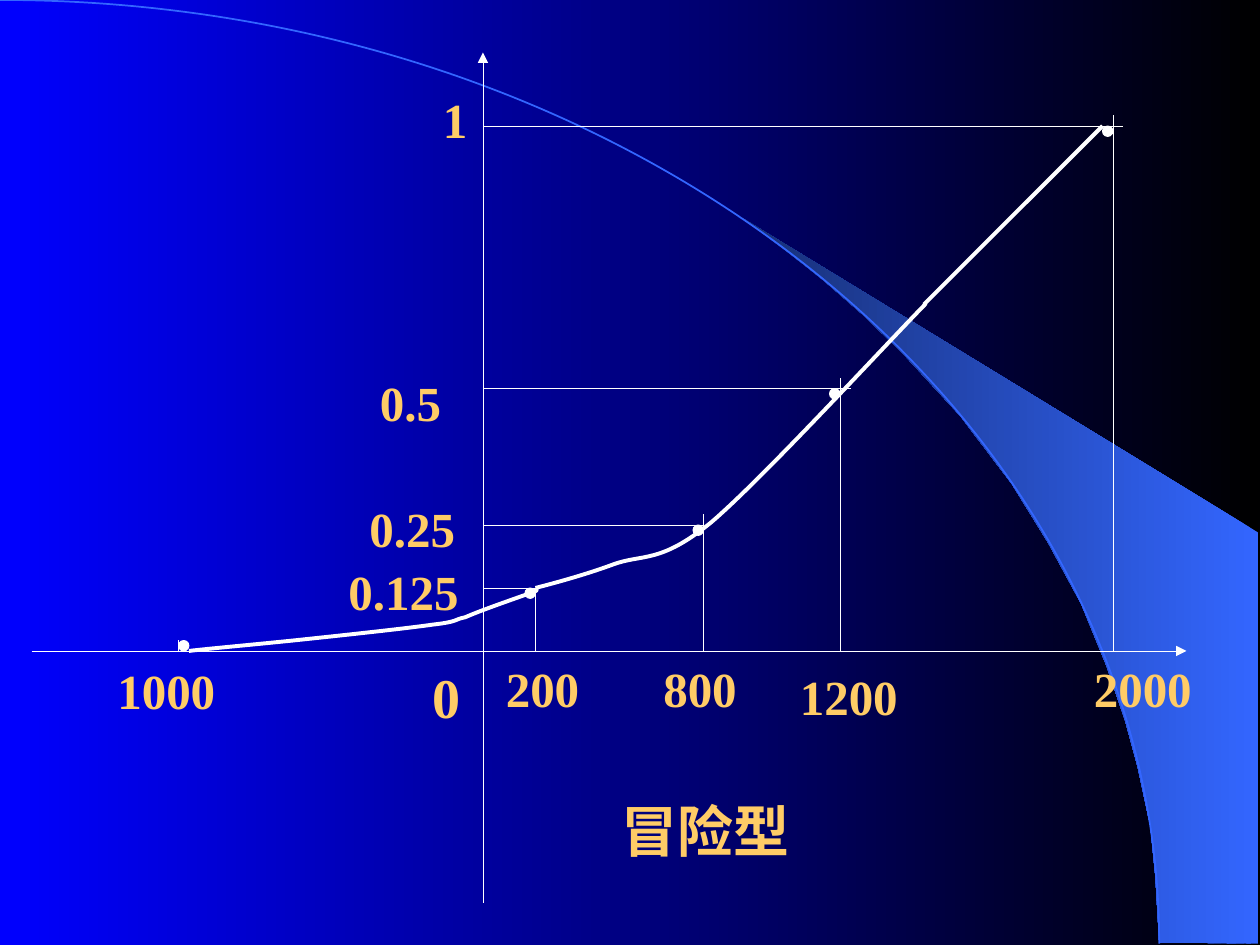
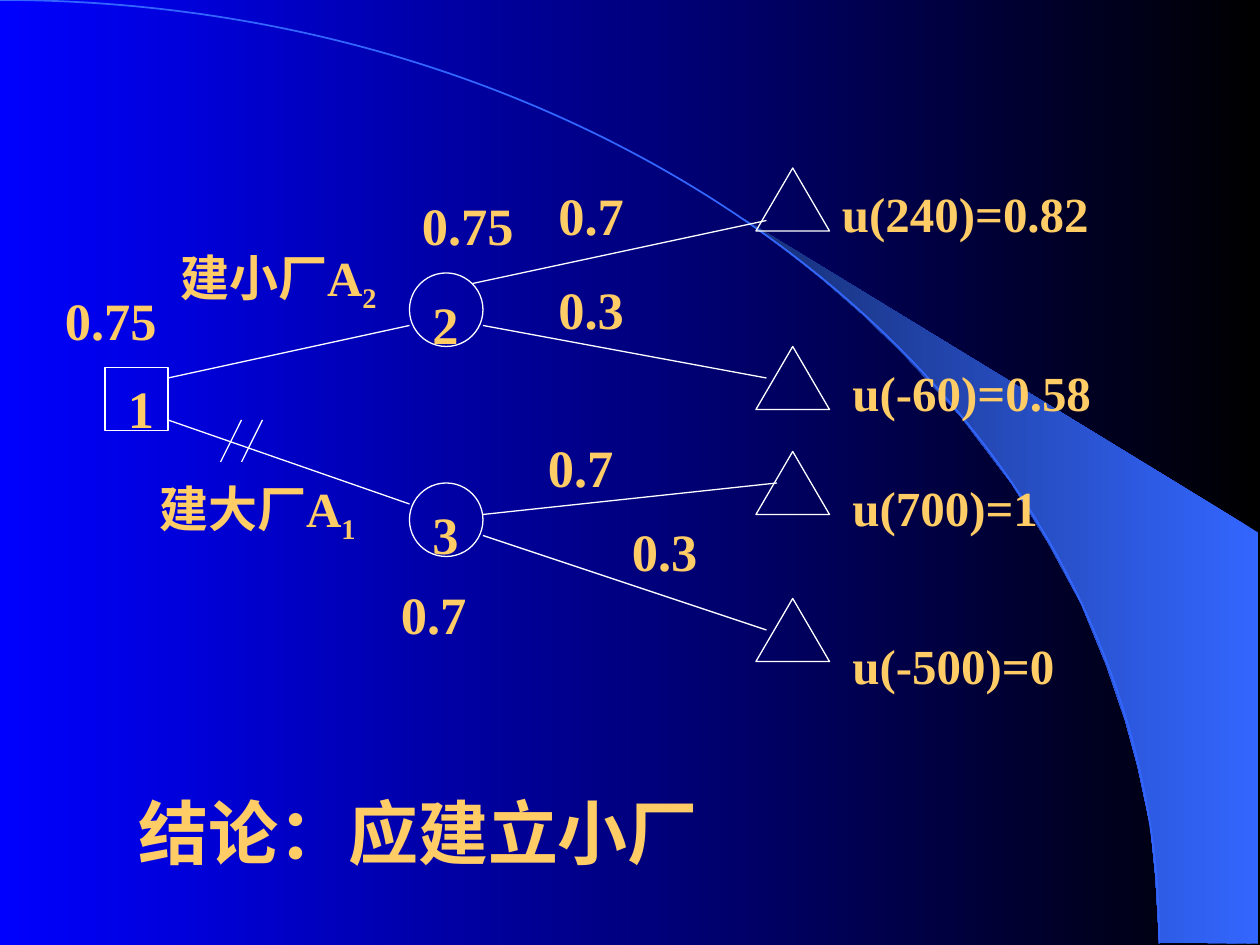
from typing import NamedTuple

from pptx import Presentation
from pptx import util as u
from pptx.dml.color import RGBColor
from pptx.enum import shapes, text
from pptx.oxml import ns, xmlchemy

COLUMNS, ROWS = 120, 90
CELL = u.Inches(10) // COLUMNS
FONT = "Times New Roman"
BLACK = RGBColor(0x00, 0x00, 0x00)
BLUE = RGBColor(0x00, 0x00, 0xFF)
SKY = RGBColor(0x33, 0x66, 0xFF)
NAVY = RGBColor(0x17, 0x2F, 0x75)
WHITE = RGBColor(0xFF, 0xFF, 0xFF)
GOLD = RGBColor(0xFF, 0xCC, 0x66)

Point = tuple[float, float]


class Label(NamedTuple):
    left: float
    top: float
    width: float
    words: str
    size: float = 28
    spacing: float = 1.7
    subscript: str = ""


class Observation(NamedTuple):
    """A point of the utility curve and how far its guide lines reach."""
    column: int
    row: int
    guide_top: int
    guide_right: int


class Symbol(NamedTuple):
    kind: shapes.MSO_SHAPE
    left: int
    top: int
    width: int
    height: int


class Stroke(NamedTuple):
    start: Point
    end: Point


BAND = [(110.4, 89.76), (119.88, 89.88), (119.88, 50.76), (70.68, 20.76),
        (74.88, 23.88), (78.36, 26.64), (82.2, 30), (85.92, 33.6), (91.44, 39.6),
        (96.36, 46.08), (99.84, 51.72), (102.96, 57.48), (105.36, 63.36),
        (107.16, 68.64), (108.36, 73.08), (109.56, 78.72), (110.04, 83.52)]
ARC = [(0, 0), (60.96, 0), (110.4, 40.2), (110.4, 89.88)]
ARC_FRAME = [(-110.4, 0), (110.4, 179.64)]

AXIS_COLUMN, AXIS_ROW, LOSS_COLUMN = 46, 62, 17
OBSERVATIONS = [
    Observation(51, 56, 56, 51),
    Observation(67, 50, 49, 67),
    Observation(80, 37, 36, 81),
    Observation(106, 12, 11, 107),
]
LOW_CURVE = [(18, 62), (19.7, 61.8), (24.1, 61.4), (28, 61),
             (31.8, 60.6), (38.4, 59.9), (41.2, 59.5),
             (43.8, 59.2), (43.2, 59), (44.3, 58.8),
             (45.2, 58.4), (46.3, 58), (47.4, 57.6),
             (48.5, 57.2), (50.2, 56.6), (50.8, 56.4),
             (51.4, 56.2), (51, 56), (51, 56)]
HIGH_CURVE = [(51, 56), (52.2, 55.7), (55.6, 54.8), (58.3, 53.8),
              (61.2, 52.7), (62.8, 53.8), (67.8, 49.7),
              (72.7, 45.5), (84, 33.2), (88.2, 28.9)]
CURVE_LABELS = [
    Label(41, 4, 9, "1"),
    Label(40, 58, 9, "0", 32),
    Label(10, 59, 17, "1000", spacing=1.6),
    Label(103, 61, 17, "2000", spacing=1.2),
    Label(75, 59, 17, "1200"),
    Label(47, 61, 17, "200", spacing=1.2),
    Label(62, 61, 17, "800", spacing=1.2),
    Label(35, 31, 9, "0.5"),
    Label(34, 43, 20, "0.25"),
    Label(32, 49, 20, "0.125"),
    Label(58, 76, 57, "冒险型", 32, 0.9),
]

TREE_SYMBOLS = [
    Symbol(shapes.MSO_SHAPE.RECTANGLE, 10, 35, 6, 6),
    *(Symbol(shapes.MSO_SHAPE.OVAL, 39, top, 7, 7) for top in (26, 46)),
    *(Symbol(shapes.MSO_SHAPE.ISOSCELES_TRIANGLE, 72, top, 7, 6)
      for top in (16, 43, 33, 57)),
]
BRANCHES = [
    Stroke((16, 36), (39, 31)), Stroke((16, 40), (39, 48)),
    Stroke((45, 27), (73, 21)), Stroke((46, 31), (73, 36)),
    Stroke((46, 49), (74, 46)), Stroke((46, 51), (73, 60)),
]
PRUNING_MARKS = [Stroke((column, 40), (column - 2, 44)) for column in (23, 25)]
VALUES = [(5, 28, "0.75"), (39, 19, "0.75"), (37, 56, "0.7"),
          (52, 18, "0.7"), (52, 27, "0.3"), (51, 42, "0.7"), (59, 50, "0.3")]
TREE_LABELS = [
    Label(12, 69, 104, "结论：应建立小厂", 40),
    Label(11, 31, 11, "1", 30),
    Label(40, 23, 5, "2", 30),
    Label(40, 43, 5, "3", 30),
    Label(16, 23, 53, "建小厂A", spacing=1, subscript="2"),
    Label(14, 45, 53, "建大厂A", spacing=1, subscript="1"),
    *(Label(left, top, 24, value, 30, 0.8) for left, top, value in VALUES),
    Label(79, 13, 40, "u(240)=0.82"),
    Label(80, 30, 40, "u(-60)=0.58"),
    Label(80, 41, 40, "u(700)=1"),
    Label(80, 56, 40, "u(-500)=0"),
]


def cells(*lengths: float) -> list[u.Emu]:
    """Turn grid units into lengths on the slide."""
    return [u.Emu(round(length * CELL)) for length in lengths]


def set_gradient(fill, first: RGBColor, last: RGBColor) -> None:
    fill.gradient()
    fill.gradient_angle = 180
    for stop, color, position in zip(fill.gradient_stops, (first, last), (0, 1)):
        stop.color.rgb = color
        stop.position = position


def set_line(line, color: RGBColor, weight: float) -> None:
    line.color.rgb = color
    line.width = u.Pt(weight)


def add_outline(page, points: list[Point], close: bool):
    start, *others = [cells(*point) for point in points]
    builder = page.shapes.build_freeform(*start)
    builder.add_line_segments(others, close=close)
    outline = builder.convert_to_shape()
    outline.shadow.inherit = False
    return outline


def add_curve(page, controls: list[Point], color: RGBColor, weight: float,
              frame: list[Point] | None = None) -> None:
    """Draw a chain of cubic curves; the frame defaults to the extent of the controls."""
    extent = frame or [tuple(limit(axis) for axis in zip(*controls)) for limit in (min, max)]
    curve = add_outline(page, extent, close=False)
    curve.fill.background()
    set_line(curve.line, color, weight)
    track = curve._element.find(".//" + ns.qn("a:path"))
    for segment in list(track):
        track.remove(segment)
    groups = [controls[:1]]
    groups += [controls[first:first + 3] for first in range(1, len(controls), 3)]
    for group in groups:
        tag = "a:moveTo" if len(group) == 1 else "a:cubicBezTo"
        segment = xmlchemy.OxmlElement(tag)
        track.append(segment)
        for point in group:
            x, y = cells(*point)
            mark = xmlchemy.OxmlElement("a:pt")
            mark.set("x", str(x - curve.left))
            mark.set("y", str(y - curve.top))
            segment.append(mark)


def add_stroke(page, stroke: Stroke, weight: float, arrow: bool = False) -> None:
    line = page.shapes.add_connector(shapes.MSO_CONNECTOR.STRAIGHT,
                                     *cells(*stroke.start, *stroke.end))
    set_line(line.line, WHITE, weight)
    if arrow:
        head = xmlchemy.OxmlElement("a:tailEnd")
        head.set("type", "triangle")
        line.line._get_or_add_ln().append(head)
    properties = line._element.find(ns.qn("p:spPr"))
    properties.append(xmlchemy.OxmlElement("a:effectLst"))


def add_symbol(page, symbol: Symbol, weight: float, filled: bool = False) -> None:
    kind, *place = symbol
    shape = page.shapes.add_shape(kind, *cells(*place))
    shape.shadow.inherit = False
    if filled:
        shape.fill.solid()
        shape.fill.fore_color.rgb = WHITE
    else:
        shape.fill.background()
    set_line(shape.line, WHITE, weight)


def add_label(page, label: Label) -> None:
    height = 0.2 * label.size * label.spacing + 1.2
    box = page.shapes.add_textbox(*cells(label.left, label.top, label.width, height))
    frame = box.text_frame
    frame.word_wrap = True
    frame.auto_size = text.MSO_AUTO_SIZE.SHAPE_TO_FIT_TEXT
    para = frame.paragraphs[0]
    para.line_spacing = float(label.spacing)
    for words, baseline in ((label.words, 0), (label.subscript, -25000)):
        if not words:
            continue
        span = para.add_run()
        span.text = words
        span.font.name = FONT
        span.font.size = u.Pt(label.size)
        span.font.bold = True
        span.font.color.rgb = GOLD
        if baseline:
            span._r.get_or_add_rPr().set("baseline", str(baseline))


def add_page(deck):
    """Add a slide with the shared gradient, swoosh and arc."""
    page = deck.slides.add_slide(deck.slide_layouts[6])
    set_gradient(page.background.fill, BLACK, BLUE)
    band = add_outline(page, BAND, close=True)
    set_gradient(band.fill, SKY, NAVY)
    band.line.fill.background()
    add_curve(page, ARC, SKY, 1, ARC_FRAME)
    return page


def draw_utility_curve(page) -> None:
    add_stroke(page, Stroke((AXIS_COLUMN, 86), (AXIS_COLUMN, 5)), 0.5, arrow=True)
    add_stroke(page, Stroke((3, AXIS_ROW), (113, AXIS_ROW)), 0.5, arrow=True)
    tick_row = AXIS_ROW - 1
    guides = [Stroke((AXIS_COLUMN, 12), (AXIS_COLUMN + 1, 12))]
    for column in (LOSS_COLUMN, *(seen.column for seen in OBSERVATIONS)):
        guides.append(Stroke((column, tick_row), (column, AXIS_ROW)))
    for seen in OBSERVATIONS:
        guides.append(Stroke((AXIS_COLUMN, seen.row), (seen.guide_right, seen.row)))
        guides.append(Stroke((seen.column, tick_row), (seen.column, seen.guide_top)))
    for guide in guides:
        add_stroke(page, guide, 0.5)
    dots = [(seen.column - 1, seen.row) for seen in OBSERVATIONS]
    for left, top in [*dots, (LOSS_COLUMN, tick_row)]:
        add_symbol(page, Symbol(shapes.MSO_SHAPE.OVAL, left, top, 1, 1), 0.5, filled=True)
    for controls in (LOW_CURVE, HIGH_CURVE):
        add_curve(page, controls, WHITE, 2.25)
    add_stroke(page, Stroke((88, 29), (105, 12)), 2.25)
    for label in CURVE_LABELS:
        add_label(page, label)


def draw_decision_tree(page) -> None:
    for symbol in TREE_SYMBOLS:
        add_symbol(page, symbol, 0.75)
    for stroke in BRANCHES + PRUNING_MARKS:
        add_stroke(page, stroke, 0.75)
    for label in TREE_LABELS:
        add_label(page, label)


def main() -> None:
    deck = Presentation()
    deck.slide_width, deck.slide_height = cells(COLUMNS, ROWS)
    draw_utility_curve(add_page(deck))
    draw_decision_tree(add_page(deck))
    deck.save("out.pptx")


if __name__ == "__main__":
    main()
